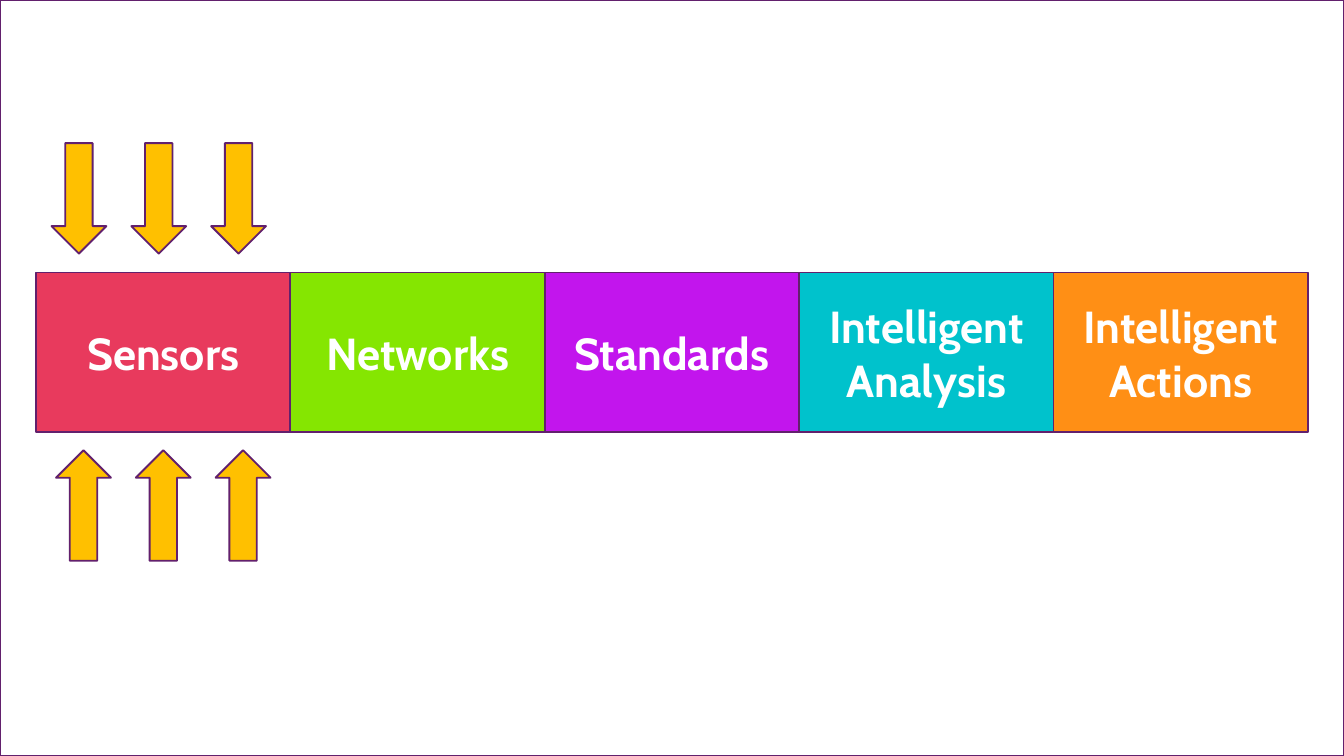
"""Build a slide of five linked stages with arrows pointing at the first."""
from pptx import Presentation
from pptx.dml.color import RGBColor
from pptx.enum.shapes import MSO_SHAPE
from pptx.enum.text import MSO_ANCHOR, PP_ALIGN
from pptx.util import Pt


def color(code):
    return RGBColor.from_string(code)


class Board:
    font, size, ink, edge, gold = "Cabin", 24, "FFFFFF", "62206D", "FFC000"

    def __init__(self, slide):
        self.slide = slide

    def shape(self, kind, left, top, width, height, fill):
        item = self.slide.shapes.add_shape(
            kind, Pt(left), Pt(top), Pt(width), Pt(height))
        item.shadow.inherit = False
        item.fill.solid()
        item.fill.fore_color.rgb = color(fill)
        item.line.color.rgb = color(self.edge)
        item.line.width = Pt(1)
        return item

    def frame(self, width, height):
        self.shape(MSO_SHAPE.RECTANGLE, 0, 0, width, height, "FFFFFF")

    def stage(self, left, top, width, height, fill, label):
        box = self.shape(MSO_SHAPE.RECTANGLE, left, top, width, height, fill)
        text = box.text_frame
        text.word_wrap = True
        text.vertical_anchor = MSO_ANCHOR.MIDDLE
        para = text.paragraphs[0]
        para.alignment = PP_ALIGN.CENTER
        run = para.add_run()
        run.text = label
        run.font.name = self.font
        run.font.size = Pt(self.size)
        run.font.bold = True
        run.font.color.rgb = color(self.ink)

    def arrow(self, left, top, turn):
        item = self.shape(
            MSO_SHAPE.DOWN_ARROW, left, top, 29.4, 59.2, self.gold)
        item.rotation = turn


def main():
    deck = Presentation()
    wide, high = 720, 405
    deck.slide_width, deck.slide_height = Pt(wide), Pt(high)
    board = Board(deck.slides.add_slide(deck.slide_layouts[6]))
    board.frame(wide, high)

    stages = [
        ("Sensors", "E83A5D"),
        ("Networks", "85E601"),
        ("Standards", "C215ED"),
        ("Intelligent Analysis", "00C2CC"),
        ("Intelligent Actions", "FF8F15"),
    ]
    edge = 19.3
    width = (wide - 2 * edge) / len(stages)
    for col, (label, fill) in enumerate(stages):
        board.stage(edge + col * width, 146, width, 85.5, fill, label)

    for left, top, turn in [(27.6, 76.7, 0), (30, 241.2, 180)]:
        for col in range(3):
            board.arrow(left + col * 42.75, top, turn)

    deck.save("out.pptx")


if __name__ == "__main__":
    main()
